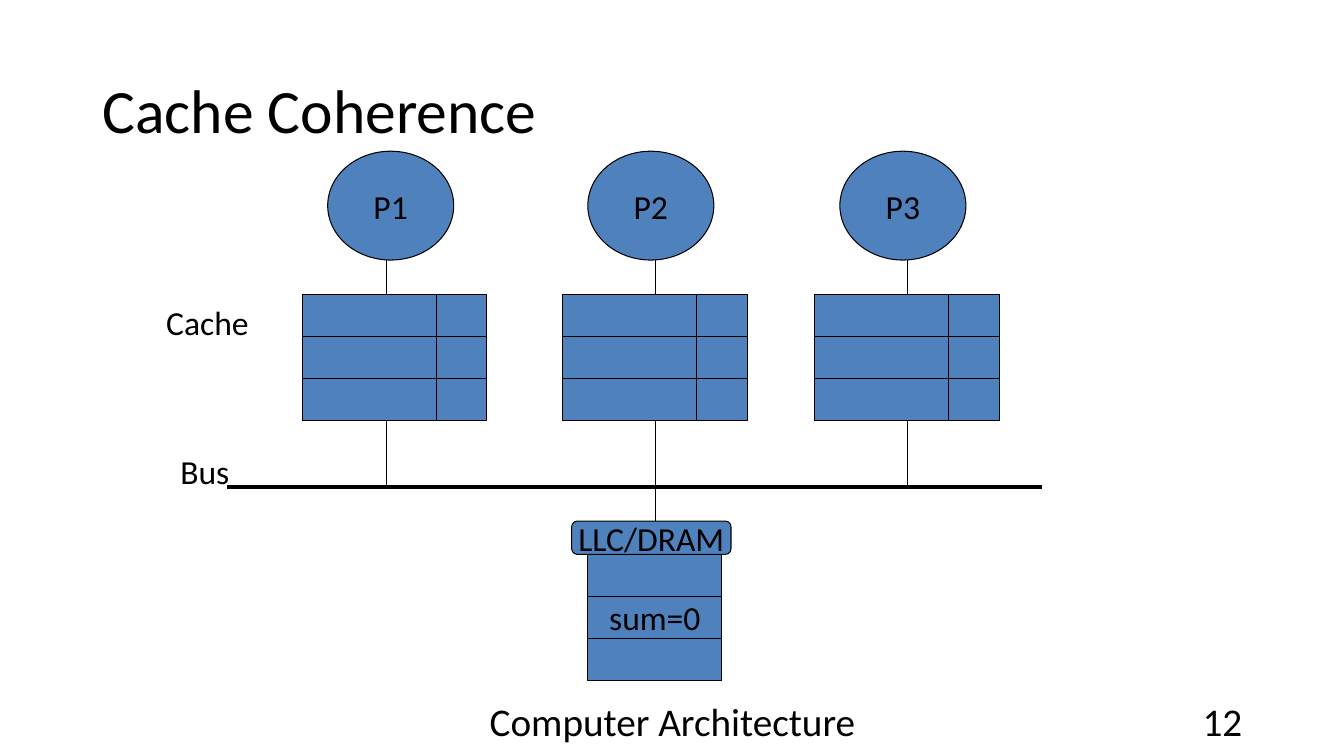
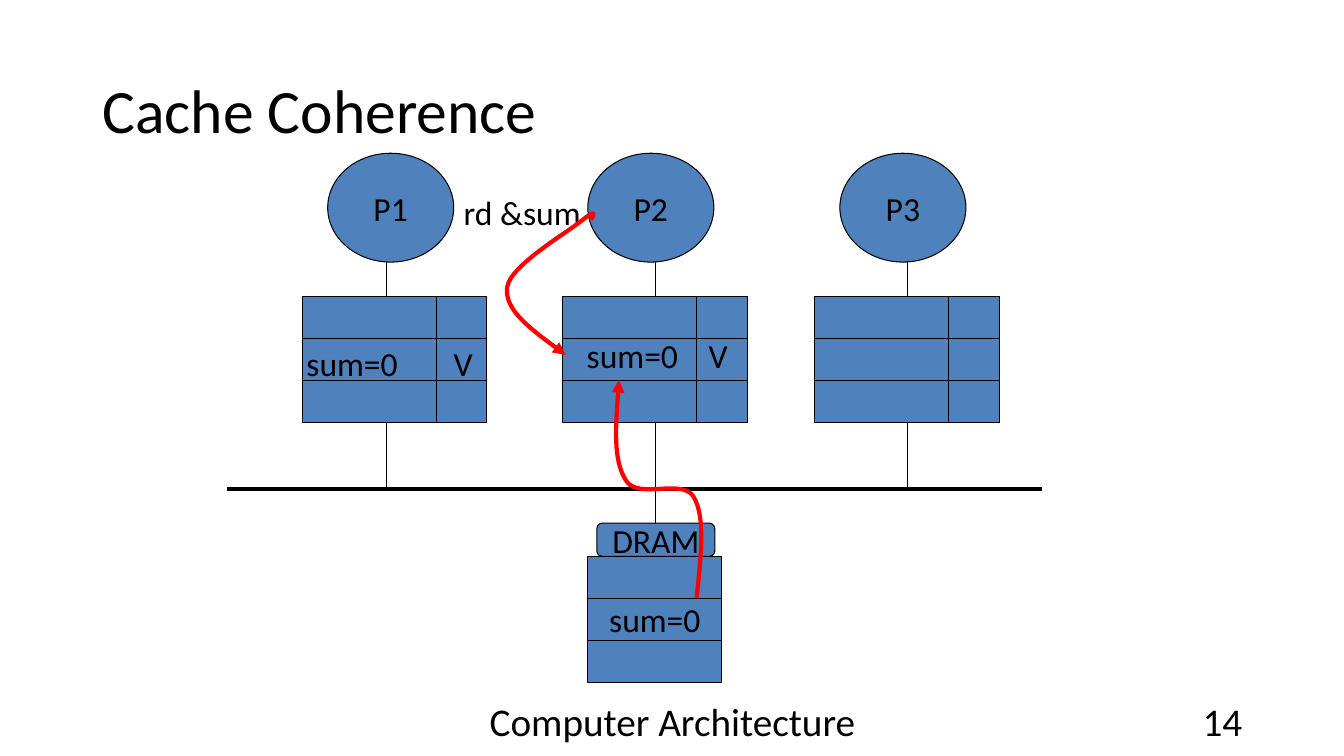
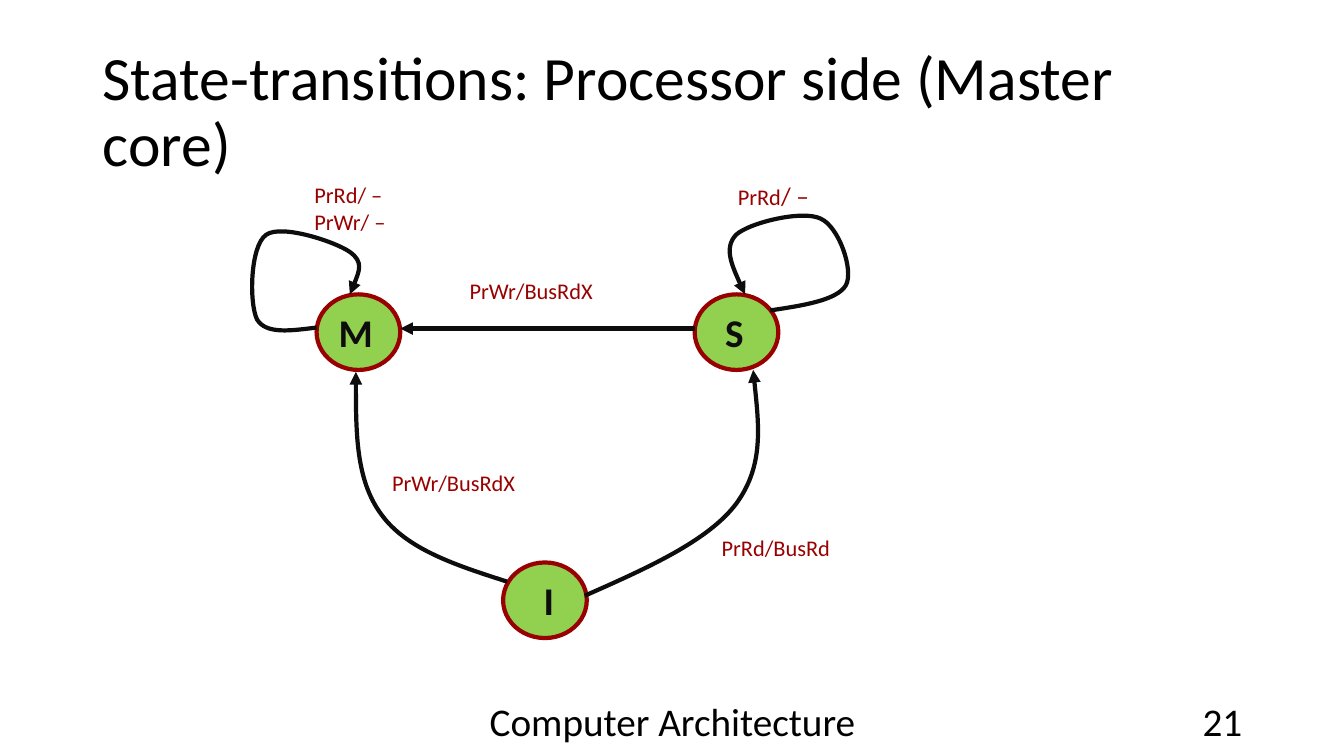
"""Builds three slides on cache coherence and its state transitions."""
from dataclasses import dataclass

from lxml import etree
from pptx import Presentation
from pptx.dml.color import RGBColor
from pptx.enum.shapes import MSO_CONNECTOR, MSO_SHAPE
from pptx.enum.text import MSO_ANCHOR, MSO_AUTO_SIZE, PP_ALIGN
from pptx.oxml.ns import qn
from pptx.util import Inches, Pt

STRAIGHT = MSO_CONNECTOR.STRAIGHT
RECTANGLE, ROUNDED, OVAL = MSO_SHAPE.RECTANGLE, MSO_SHAPE.ROUNDED_RECTANGLE, MSO_SHAPE.OVAL
TOP, MIDDLE = MSO_ANCHOR.TOP, MSO_ANCHOR.MIDDLE
FIT, FIXED = MSO_AUTO_SIZE.SHAPE_TO_FIT_TEXT, MSO_AUTO_SIZE.NONE
LEFT, CENTER, RIGHT = PP_ALIGN.LEFT, PP_ALIGN.CENTER, PP_ALIGN.RIGHT


@dataclass(frozen=True)
class Theme:
    """Colours, type sizes and line widths of the deck."""
    font: str = "Calibri"
    black: str = "000000"
    ink: str = "0D0D0D"
    blue: str = "4F81BD"
    green: str = "92D050"
    maroon: str = "990000"
    red: str = "FF0000"
    title: int = 44
    footer: int = 28
    state: int = 28
    body: int = 24
    event: int = 16
    event_large: int = 18
    thin: float = 0.74
    thick: float = 3
    bus: float = 3.26


class Deck:
    """Holds the theme and the current slide and draws elements on it."""

    def __init__(self, theme):
        self.theme = theme
        self.presentation = Presentation()
        self.presentation.slide_width = Inches(13.33)
        self.presentation.slide_height = Inches(7.5)

    def page(self, title, number):
        """Starts a slide with its title, footer and number."""
        theme = self.theme
        layout = self.presentation.slide_layouts[6]
        self.shapes = self.presentation.slides.add_slide(layout).shapes
        fixed = {"word_wrap": True, "auto_size": FIXED, "vertical_anchor": MIDDLE}
        self.text(title, (0.92, 0.4, 11.5, 1.45), theme.title, frame=fixed,
                  paragraph={"line_spacing": 0.9})
        for words, box, align in (
                ("Computer Architecture", (4.42, 6.95, 4.5, 0.4), CENTER),
                (number, (9.42, 6.95, 3, 0.4), RIGHT)):
            self.text(words, box, theme.footer, frame=fixed, paragraph={"alignment": align})

    def set_text(self, shape, lines, size, color, frame, paragraph, bold=False):
        """Fills a shape with lines, each a list of (text, size) spans or a string."""
        text_frame = shape.text_frame
        for name, value in frame.items():
            setattr(text_frame, name, value)
        for index, line in enumerate(lines):
            para = text_frame.add_paragraph() if index else text_frame.paragraphs[0]
            for name, value in paragraph.items():
                setattr(para, name, value)
            for words, points in [(line, size)] if isinstance(line, str) else line:
                span = para.add_run()
                span.text = words
                for name, value in {"name": self.theme.font, "size": Pt(points), "bold": bold}.items():
                    setattr(span.font, name, value)
                span.font.color.rgb = RGBColor.from_string(color)

    def text(self, lines, box, size, color=None, frame=None, paragraph=None):
        """Adds a text box that by default grows with its unwrapped text."""
        frame = frame or {"word_wrap": False, "auto_size": FIT, "vertical_anchor": TOP}
        lines = [lines] if isinstance(lines, str) else lines
        self.set_text(self.shapes.add_textbox(*map(Inches, box)), lines, size,
                      color or self.theme.black, frame, paragraph or {"alignment": LEFT})

    def stroke(self, line, color, width):
        """Sets the colour and width of a line."""
        line.color.rgb = RGBColor.from_string(color)
        line.width = Pt(width)

    def arrowhead(self, shape):
        """Puts a triangle at the end of a stroked line."""
        outline = shape._element.spPr.find(qn("a:ln"))
        etree.SubElement(outline, qn("a:tailEnd"), type="triangle")

    def block(self, kind, box, words="", fill=None, outline=None, width=None):
        """Adds a filled preset shape with centred text."""
        theme = self.theme
        shape = self.shapes.add_shape(kind, *map(Inches, box))
        shape.shadow.inherit = False
        shape.fill.solid()
        shape.fill.fore_color.rgb = RGBColor.from_string(fill or theme.blue)
        self.stroke(shape.line, outline or theme.black, width or theme.thin)
        if words:
            self.set_text(shape, [words], theme.body, theme.black,
                          {"word_wrap": False, "vertical_anchor": MIDDLE}, {"alignment": CENTER})
        return shape

    def state(self, name, left, top, inset):
        """Adds a protocol state."""
        theme = self.theme
        circle = self.block(OVAL, (left, top, 0.83, 0.75), "", theme.green, theme.maroon, theme.thick)
        frame = {"word_wrap": False, "vertical_anchor": MIDDLE, "margin_left": Inches(inset)}
        self.set_text(circle, [name], theme.state, theme.ink, frame, {"alignment": LEFT}, bold=True)

    def line(self, start, end, color=None, width=None):
        """Adds a straight line."""
        connector = self.shapes.add_connector(STRAIGHT, *map(Inches, start + end))
        self.stroke(connector.line, color or self.theme.black, width or self.theme.thin)
        etree.SubElement(connector._element.spPr, qn("a:effectLst"))
        return connector

    def curve(self, points, color):
        """Adds a curved arrow from a start and Bezier triples of points."""
        start, *rest = [tuple(map(Inches, point)) for point in points]
        builder = self.shapes.build_freeform(*start)
        builder.add_line_segments(rest, close=False)
        shape = builder.convert_to_shape()
        segments = list(shape._element.iter(qn("a:lnTo")))
        for index in range(0, len(segments), 3):
            outline = segments[index].getparent()
            bezier = etree.SubElement(outline, qn("a:cubicBezTo"))
            for segment in segments[index:index + 3]:
                bezier.append(segment[0])
                outline.remove(segment)
        shape.shadow.inherit = False
        shape.fill.background()
        self.stroke(shape.line, color, self.theme.thick)
        self.arrowhead(shape)

    def machine(self, top, hub, hub_left, hub_width):
        """Draws three processors with caches on a bus above the memory."""
        row = 1.25 / 3
        bus = top + 3.33
        for name, left, stem in (("P1", 3, 3.83), ("P2", 5.58, 6.5), ("P3", 8.08, 9)):
            self.block(OVAL, (left + 0.25, top, 1.25, 1.08), name)
            for index in range(3):
                cell_top = top + 1.42 + index * row
                self.block(RECTANGLE, (left, cell_top, 1.33, row))
                self.block(RECTANGLE, (left + 1.33, cell_top, 0.5, row))
            self.line((stem, top + 1.08), (stem, top + 1.42))
            self.line((stem, top + 2.67), (stem, bus))
        self.line((2.25, bus), (10.33, bus), width=self.theme.bus)
        self.line((6.5, bus), (6.5, top + 3.67))
        for index, words in enumerate(("", "sum=0", "")):
            self.block(RECTANGLE, (5.83, top + 4 + index * row, 1.33, row), words)
        self.block(ROUNDED, (hub_left, top + 3.67, hub_width, 0.33), hub)


def main():
    """Builds and saves the deck."""
    theme = Theme()
    deck = Deck(theme)

    deck.page("Cache Coherence", "12")
    deck.machine(1.5, "LLC/DRAM", 5.67, 1.58)
    deck.text("Cache", (1.55, 2.95, 1.24, 0.5), theme.body)
    deck.text("Bus", (1.69, 4.42, 0.81, 0.5), theme.body)

    deck.page("Cache Coherence", "14")
    deck.machine(1.52, "DRAM", 5.92, 1.17)
    for words, box in (
            ("sum=0", (2.94, 3.35, 1.11, 0.51)),
            ("V", (4.4, 3.35, 0.39, 0.51)),
            ("rd &sum", (4.5, 1.85, 1.62, 0.5)),
            ("sum=0", (5.72, 3.27, 1.11, 0.51)),
            ("V", (6.93, 3.27, 0.39, 0.51))):
        deck.text(words, box, theme.body)
    read_request = [(5.86, 2.18), (5.89, 2.13), (5.92, 2.07), (5.78, 2.18), (5.64, 2.3),
                    (5.06, 2.63), (5.03, 2.85), (5, 3.07), (5.31, 3.3), (5.61, 3.52)]
    memory_reply = [(6.91, 5.93), (6.95, 5.53), (7, 5.13), (6.88, 4.93), (6.77, 4.74),
                    (6.33, 4.96), (6.21, 4.77), (6.08, 4.57), (6.11, 4.17), (6.14, 3.77)]
    for points in (read_request, memory_reply):
        deck.curve(points, theme.red)

    deck.page("State-transitions: Processor side (Master core)", "21")
    for name, left, top, inset in (("M", 3.14, 2.92, 0.1), ("I", 4.99, 5.58, 0.28),
                                   ("S", 6.89, 2.92, 0.18)):
        deck.state(name, left, top, inset)
    modified_loop = [(3.14, 3.25), (2.89, 3.28), (2.64, 3.32), (2.55, 3.17), (2.47, 3.01),
                     (2.48, 2.44), (2.64, 2.33), (2.79, 2.22), (3.33, 2.4), (3.47, 2.5),
                     (3.61, 2.6), (3.54, 2.76), (3.47, 2.92)]
    shared_loop = [(7.64, 3.08), (7.97, 3.03), (8.3, 2.98), (8.39, 2.83), (8.47, 2.68),
                   (8.32, 2.25), (8.14, 2.17), (7.96, 2.08), (7.43, 2.21), (7.3, 2.33),
                   (7.18, 2.46), (7.28, 2.69), (7.39, 2.92)]
    invalid_to_modified = [(5.03, 5.77), (4.53, 5.61), (4.03, 5.45), (3.78, 5.1),
                           (3.53, 4.76), (3.53, 4.22), (3.53, 3.69)]
    invalid_to_shared = [(5.8, 5.91), (6.41, 5.64), (7.02, 5.37), (7.3, 5),
                         (7.58, 4.62), (7.52, 4.15), (7.47, 3.67)]
    for points in (modified_loop, shared_loop, invalid_to_modified, invalid_to_shared):
        deck.curve(points, theme.ink)
    deck.arrowhead(deck.line((6.89, 3.26), (3.97, 3.26), theme.ink, theme.thick))
    for lines, box in (
            (["PrRd/ –", "PrWr/ –"], (3.02, 1.75, 0.95, 0.63)),
            ("PrWr/BusRdX", (3.79, 4.61, 1.58, 0.37)),
            ("PrRd/BusRd", (7.06, 5.25, 1.43, 0.37)),
            ([[("PrRd", theme.event), ("/ –", theme.event_large)]], (7.22, 1.74, 1.36, 0.37)),
            ("PrWr/BusRdX", (4.56, 2.7, 1.58, 0.37))):
        deck.text(lines, box, theme.event, theme.maroon)

    deck.presentation.save("out.pptx")


main()
